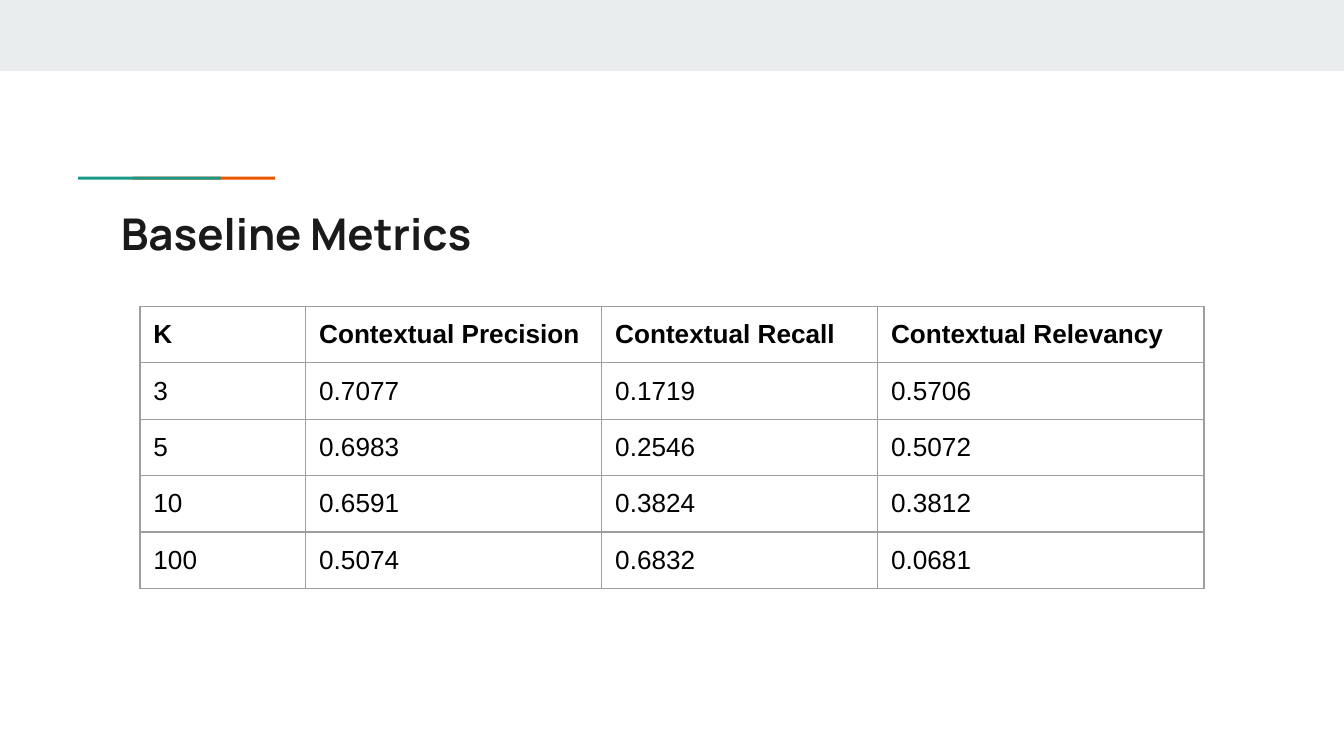
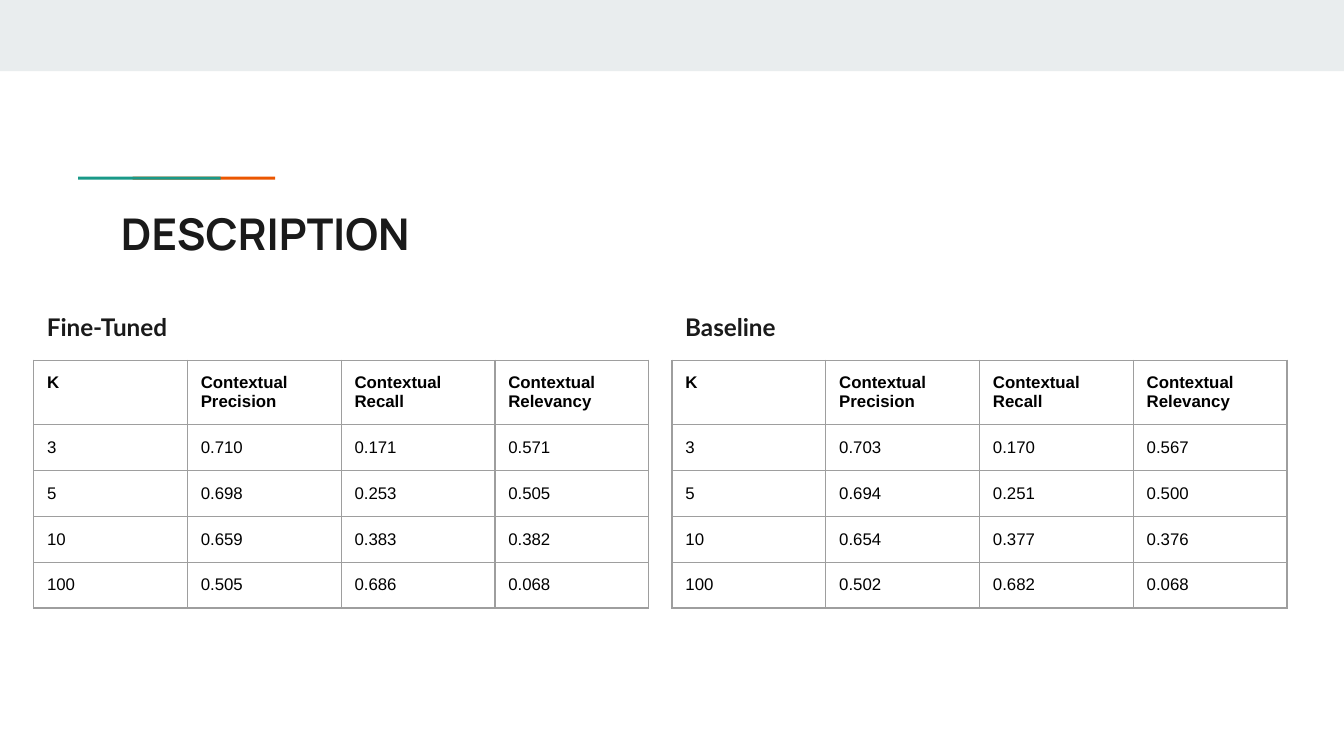
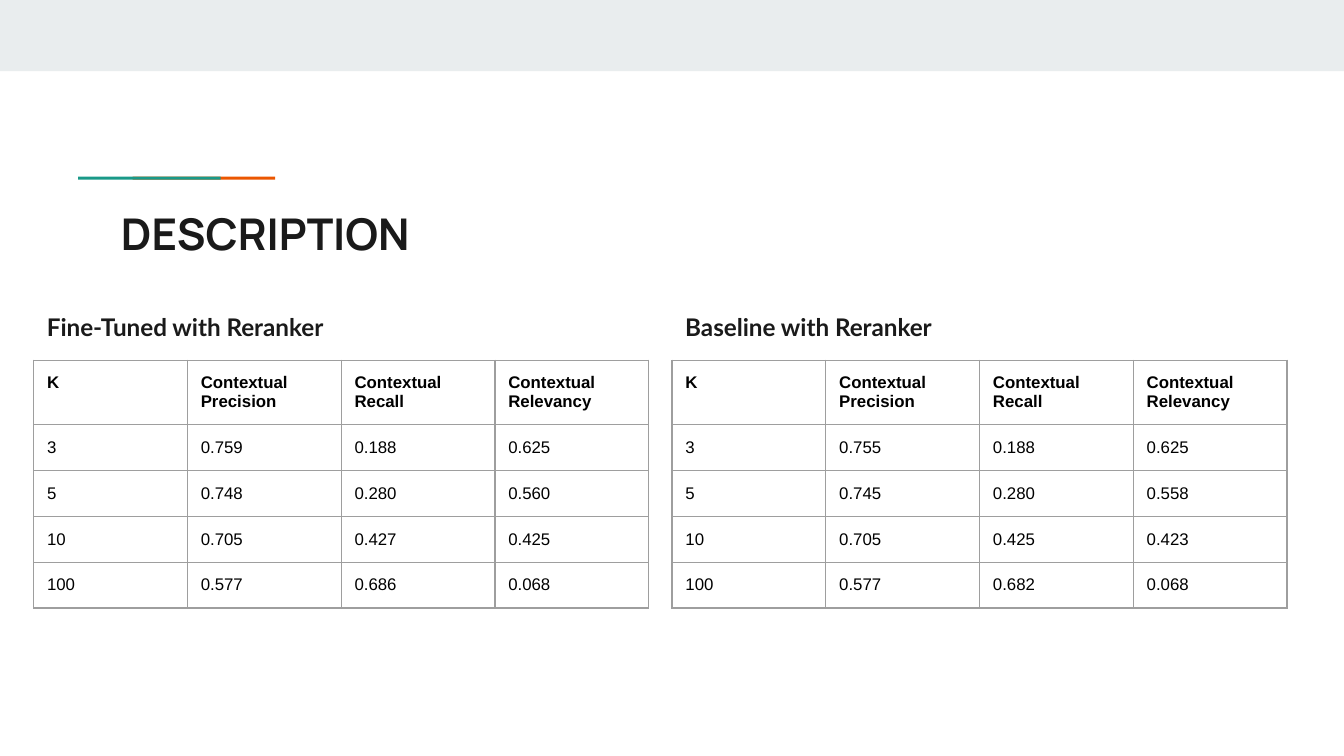
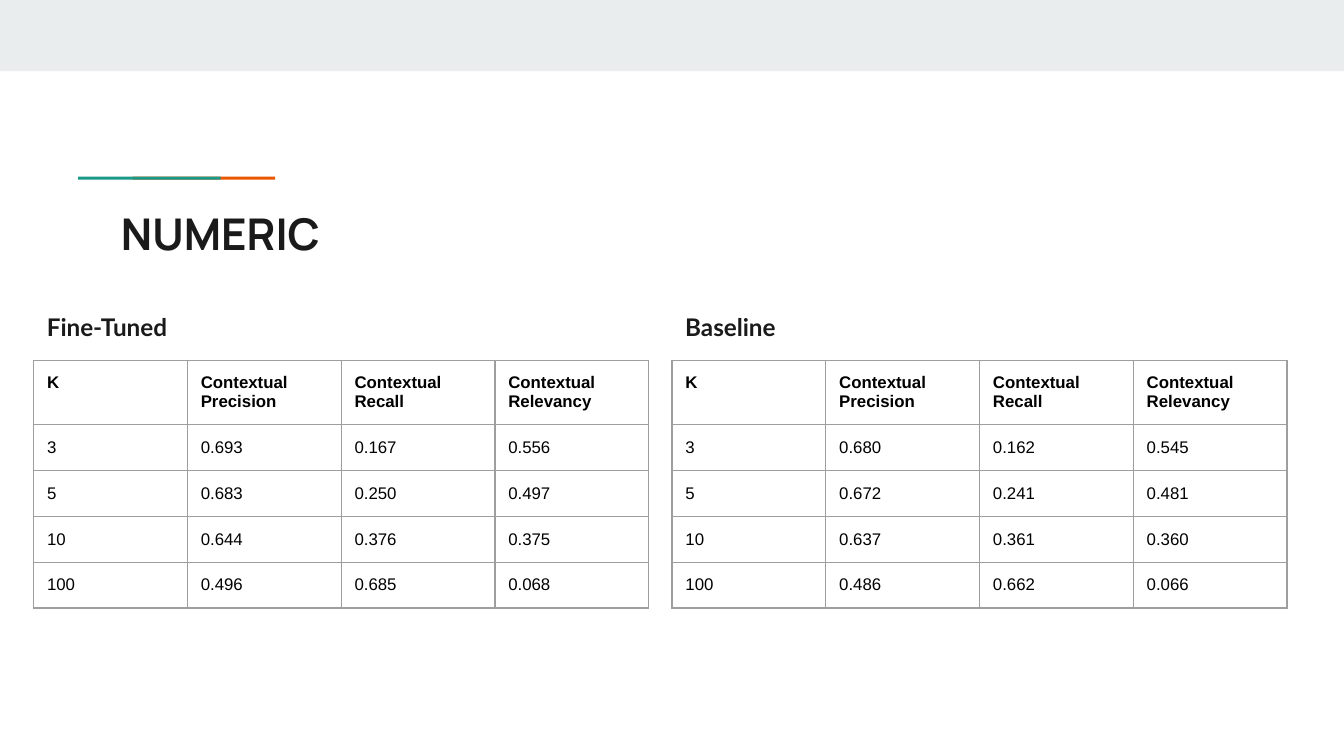
from lxml import etree
from pptx import Presentation
from pptx.dml.color import RGBColor
from pptx.enum.shapes import MSO_SHAPE
from pptx.enum.text import MSO_ANCHOR, MSO_AUTO_SIZE, PP_ALIGN
from pptx.oxml.ns import qn
from pptx.util import Pt

RECTANGLE = MSO_SHAPE.RECTANGLE
TOP, MIDDLE = MSO_ANCHOR.TOP, MSO_ANCHOR.MIDDLE
LEFT = PP_ALIGN.LEFT
NO_AUTOFIT = MSO_AUTO_SIZE.NONE

COLORS = {
    "band": "E9EDEE",
    "orange": "EB5600",
    "teal": "1A9988",
    "heading": "1A1A1A",
    "cell": "000000",
    "border": "9E9E9E",
}
TITLE_ONLY = 5
SLIDE_WIDTH, SLIDE_HEIGHT = 720, 405
INSET = 7.2
BORDER_WIDTH = 0.75

HEADERS = ["K", "Contextual Precision", "Contextual Recall", "Contextual Relevancy"]
K_VALUES = ["3", "5", "10", "100"]

BASELINE_METRICS = [
    ("0.7077", "0.1719", "0.5706"),
    ("0.6983", "0.2546", "0.5072"),
    ("0.6591", "0.3824", "0.3812"),
    ("0.5074", "0.6832", "0.0681"),
]

COMPARISONS = [
    ("DESCRIPTION", [
        ("Fine-Tuned", [
            ("0.710", "0.171", "0.571"),
            ("0.698", "0.253", "0.505"),
            ("0.659", "0.383", "0.382"),
            ("0.505", "0.686", "0.068"),
        ]),
        ("Baseline", [
            ("0.703", "0.170", "0.567"),
            ("0.694", "0.251", "0.500"),
            ("0.654", "0.377", "0.376"),
            ("0.502", "0.682", "0.068"),
        ]),
    ]),
    ("DESCRIPTION", [
        ("Fine-Tuned with Reranker", [
            ("0.759", "0.188", "0.625"),
            ("0.748", "0.280", "0.560"),
            ("0.705", "0.427", "0.425"),
            ("0.577", "0.686", "0.068"),
        ]),
        ("Baseline with Reranker", [
            ("0.755", "0.188", "0.625"),
            ("0.745", "0.280", "0.558"),
            ("0.705", "0.425", "0.423"),
            ("0.577", "0.682", "0.068"),
        ]),
    ]),
    ("NUMERIC", [
        ("Fine-Tuned", [
            ("0.693", "0.167", "0.556"),
            ("0.683", "0.250", "0.497"),
            ("0.644", "0.376", "0.375"),
            ("0.496", "0.685", "0.068"),
        ]),
        ("Baseline", [
            ("0.680", "0.162", "0.545"),
            ("0.672", "0.241", "0.481"),
            ("0.637", "0.361", "0.360"),
            ("0.486", "0.662", "0.066"),
        ]),
    ]),
]


class Deck:
    """Holds the shared style and the slide being built."""

    def __init__(self):
        self.presentation = Presentation()
        self.presentation.slide_width = Pt(SLIDE_WIDTH)
        self.presentation.slide_height = Pt(SLIDE_HEIGHT)
        self.slide = None

    def new_slide(self, title):
        layout = self.presentation.slide_layouts[TITLE_ONLY]
        self.slide = self.presentation.slides.add_slide(layout)
        self.rectangle(0, 0, SLIDE_WIDTH, 38.2, "band")
        self.rectangle(71, 94.7, 76.4, 1.6, "orange")
        self.rectangle(41.8, 94.7, 76.4, 1.6, "teal")
        self.title(title)

    def rectangle(self, left, top, width, height, color):
        shape = self.slide.shapes.add_shape(
            RECTANGLE, Pt(left), Pt(top), Pt(width), Pt(height))
        shape.shadow.inherit = False
        shape.fill.solid()
        shape.fill.fore_color.rgb = RGBColor.from_string(COLORS[color])
        shape.line.fill.background()

    def title(self, text):
        shape = self.slide.shapes.title
        shape.left, shape.top = Pt(57.6), Pt(103.7)
        shape.width, shape.height = Pt(605.5), Pt(42.5)
        self.heading(shape.text_frame, text, "Manrope", 23.4, MIDDLE)

    def subtitle(self, left, top, text):
        shape = self.slide.shapes.add_textbox(Pt(left), Pt(top), Pt(270), Pt(20))
        self.heading(shape.text_frame, text, "Lato", 13, TOP)

    def heading(self, frame, text, font_name, size, anchor):
        frame.word_wrap = True
        frame.auto_size = NO_AUTOFIT
        frame.vertical_anchor = anchor
        self.set_insets(frame)
        self.set_text(frame, text, font_name, size, "heading", True)

    def set_insets(self, holder):
        holder.margin_left = holder.margin_right = Pt(INSET)
        holder.margin_top = holder.margin_bottom = Pt(INSET)

    def set_text(self, frame, text, font_name, size, color, bold):
        paragraph = frame.paragraphs[0]
        paragraph.text = text
        paragraph.alignment = LEFT
        font = paragraph.font
        font.name, font.size, font.bold = font_name, Pt(size), bold
        font.color.rgb = RGBColor.from_string(COLORS[color])

    def metrics_table(self, left, top, widths, heights, metrics, size):
        rows = [HEADERS] + [[k, *values] for k, values in zip(K_VALUES, metrics)]
        table = self.slide.shapes.add_table(
            len(rows), len(HEADERS), Pt(left), Pt(top),
            Pt(sum(widths)), Pt(sum(heights))).table
        table.first_row = table.horz_banding = False
        for column, width in zip(table.columns, widths):
            column.width = Pt(width)
        for row_index, (values, height) in enumerate(zip(rows, heights)):
            table.rows[row_index].height = Pt(height)
            for column_index, value in enumerate(values):
                cell = table.cell(row_index, column_index)
                cell.vertical_anchor = TOP
                self.set_insets(cell)
                self.set_text(cell.text_frame, value, "Arial", size, "cell",
                              row_index == 0)
                self.border(cell)
                cell.fill.background()

    def border(self, cell):
        properties = cell._tc.get_or_add_tcPr()
        for side in ("lnL", "lnR", "lnT", "lnB"):
            line = etree.SubElement(properties, qn(f"a:{side}"), w=str(Pt(BORDER_WIDTH)))
            fill = etree.SubElement(line, qn("a:solidFill"))
            etree.SubElement(fill, qn("a:srgbClr"), val=COLORS["border"])


def main():
    deck = Deck()
    deck.new_slide("Baseline Metrics")
    deck.metrics_table(75, 164.2, [88.8, 158.6, 147.8, 174.8], [30.2] * 5,
                       BASELINE_METRICS, 14)

    for title, halves in COMPARISONS:
        deck.new_slide(title)
        for index, (subtitle, metrics) in enumerate(halves):
            left = 18 + index * 342
            deck.metrics_table(left, 193, [82.4] * 4,
                               [25.2, 18.7] + [16.6] * 3, metrics, 9)
            deck.subtitle(left, 160, subtitle)

    deck.presentation.save("out.pptx")


if __name__ == "__main__":
    main()
